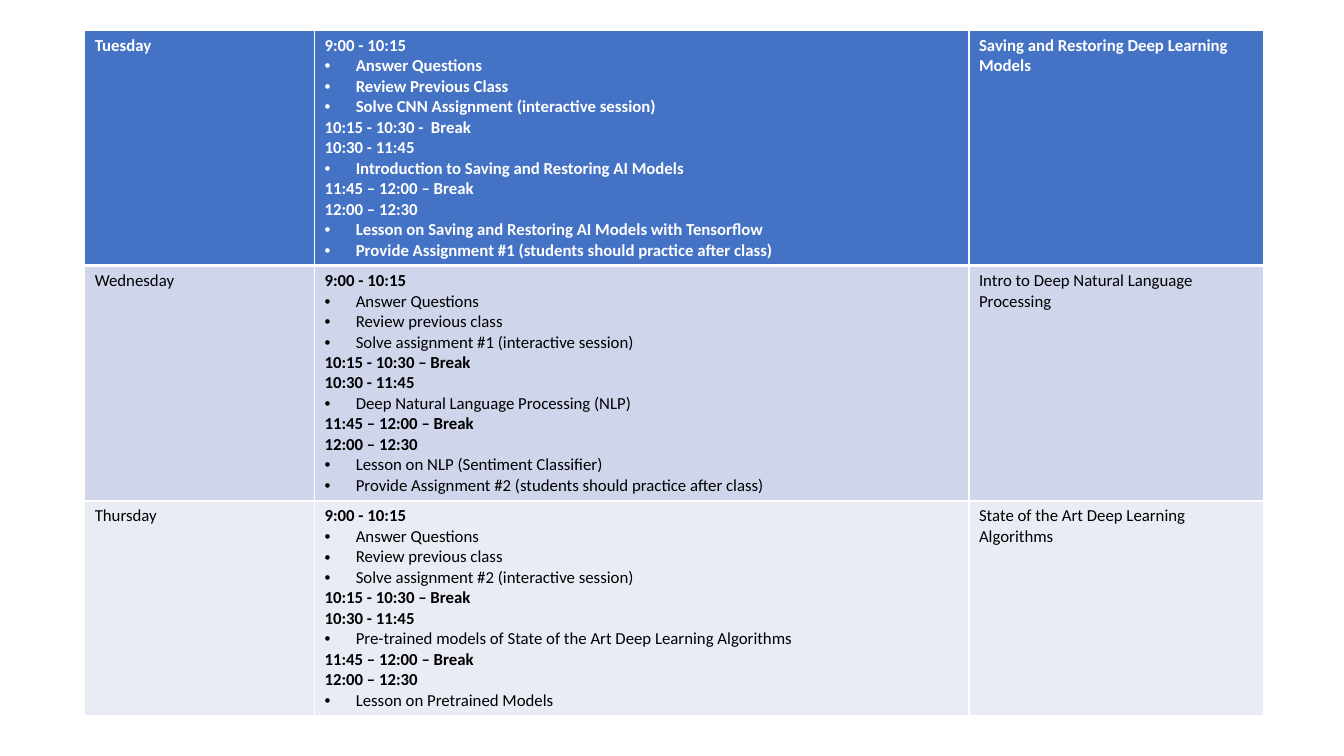
from dataclasses import dataclass

from lxml import etree
from pptx import Presentation
from pptx import util as u
from pptx.dml.color import RGBColor
from pptx.oxml import ns


@dataclass(frozen=True)
class Theme:
    font: str = "Calibri"
    size: int = 12
    white: str = "FFFFFF"
    black: str = "000000"
    fills: tuple = ("4472C4", "CFD5EA", "E9EBF5")
    border: float = 1
    header_border: float = 3
    indent: float = 0.31
    line_height: float = 0.2
    cell_padding: float = 0.1


def write(p, content, theme, color, bold=False, bullet=False):
    """Write one formatted paragraph, with an optional hanging bullet."""
    r = p.add_run()
    r.text = content
    r.font.name, r.font.size, r.font.bold = theme.font, u.Pt(theme.size), bold
    r.font.color.rgb = RGBColor.from_string(color)
    if bullet:
        pPr = p._p.get_or_add_pPr()
        pPr.set("marL", str(u.Inches(theme.indent)))
        pPr.set("indent", str(-u.Inches(theme.indent)))
        etree.SubElement(pPr, ns.qn("a:buFont")).set("typeface", "Arial")
        etree.SubElement(pPr, ns.qn("a:buChar")).set("char", "•")


class Deck:
    def __init__(self, theme):
        self.theme = theme
        self.prs = Presentation()
        self.prs.slide_width, self.prs.slide_height = u.Inches(13.33), u.Inches(7.5)
        self.slide = self.prs.slides.add_slide(self.prs.slide_layouts[6])

    def border(self, cell, side, width):
        ln = etree.SubElement(cell._tc.get_or_add_tcPr(), ns.qn(f"a:ln{side}"), w=str(u.Pt(width)))
        fill = etree.SubElement(ln, ns.qn("a:solidFill"))
        etree.SubElement(fill, ns.qn("a:srgbClr"), val=self.theme.white)

    def cell(self, cell, lines, row):
        """Fill a cell with (text, bold, bullet) lines in its row's style."""
        t = self.theme
        header = row == 0
        widths = {"L": t.border, "R": t.border,
                  "T": t.header_border if row == 1 else t.border,
                  "B": t.header_border if header else t.border}
        for side, width in widths.items():
            self.border(cell, side, width)
        cell.fill.solid()
        cell.fill.fore_color.rgb = RGBColor.from_string(t.fills[row])
        tf = cell.text_frame
        for i, (content, bold, bullet) in enumerate(lines):
            p = tf.add_paragraph() if i else tf.paragraphs[0]
            write(p, content, t, color=t.white if header else t.black,
                  bold=bold or header, bullet=bullet)

    def table(self, left, top, columns, rows):
        """Place a table; left, top and columns are shares of the slide."""
        t, W, H = self.theme, self.prs.slide_width, self.prs.slide_height
        heights = [u.Inches(t.line_height * max(map(len, row)) + t.cell_padding) for row in rows]
        widths = [int(W * share) for share in columns]
        table = self.slide.shapes.add_table(len(rows), len(columns), int(W * left), int(H * top),
                                            sum(widths), sum(heights)).table
        for column, width in zip(table.columns, widths):
            column.width = width
        for i, (row, height) in enumerate(zip(rows, heights)):
            table.rows[i].height = height
            for j, lines in enumerate(row):
                self.cell(table.cell(i, j), lines, i)


def plain(content):
    return [(content, False, False)]


def agenda(first_break, opening, lecture, practice):
    """List the day's sessions: bold times, bulleted activities."""
    sessions = [("9:00 - 10:15", ["Answer Questions", *opening]),
                (f"10:15 - 10:30 {first_break}", []),
                ("10:30 - 11:45", [lecture]),
                ("11:45 – 12:00 – Break", []),
                ("12:00 – 12:30", practice)]
    lines = []
    for time, activities in sessions:
        lines.append((time, True, False))
        lines += [(activity, False, True) for activity in activities]
    return lines


def homework(number):
    return f"Provide Assignment #{number} (students should practice after class)"


def review(assignment, previous="Review previous class"):
    return [previous, f"Solve {assignment} (interactive session)"]


# Day, agenda and topic of each class
days = [
    ("Tuesday",
     agenda("-  Break", review("CNN Assignment", "Review Previous Class"),
            "Introduction to Saving and Restoring AI Models",
            ["Lesson on Saving and Restoring AI Models with Tensorflow", homework(1)]),
     "Saving and Restoring Deep Learning Models"),
    ("Wednesday",
     agenda("– Break", review("assignment #1"),
            "Deep Natural Language Processing (NLP)",
            ["Lesson on NLP (Sentiment Classifier)", homework(2)]),
     "Intro to Deep Natural Language Processing"),
    ("Thursday",
     agenda("– Break", review("assignment #2"),
            "Pre-trained models of State of the Art Deep Learning Algorithms",
            ["Lesson on Pretrained Models"]),
     "State of the Art Deep Learning Algorithms"),
]

# Schedule table
deck = Deck(Theme())
deck.table(left=0.063, top=0.04, columns=(0.171, 0.487, 0.219),
           rows=[(plain(day), lines, plain(topic)) for day, lines, topic in days])
deck.prs.save("out.pptx")
